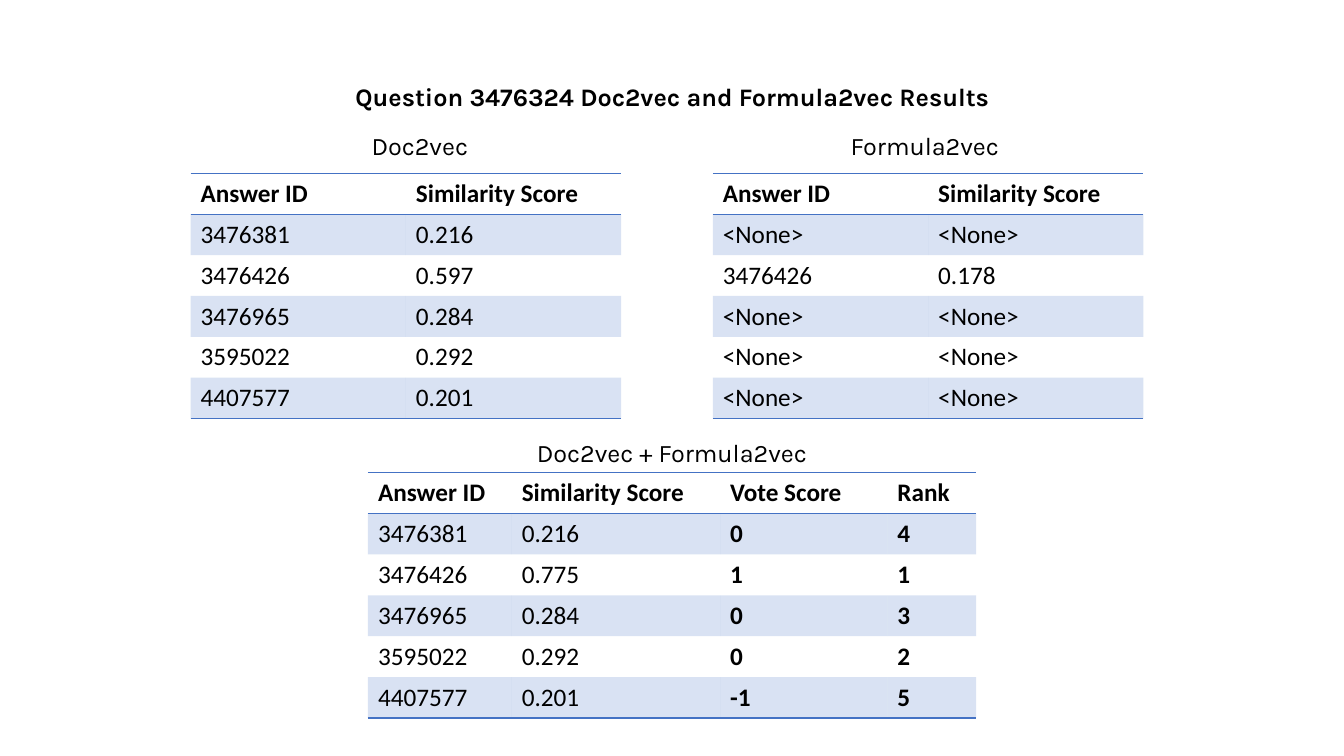
"""Build the slide of Doc2vec and Formula2vec similarity results."""
from dataclasses import dataclass

from lxml import etree
from pptx import Presentation
from pptx.dml.color import RGBColor
from pptx.enum.text import MSO_ANCHOR, MSO_AUTO_SIZE, PP_ALIGN
from pptx.oxml.ns import qn
from pptx.util import Inches, Pt

CENTER, LEFT = PP_ALIGN.CENTER, PP_ALIGN.LEFT
TOP, NO_FIT = MSO_ANCHOR.TOP, MSO_AUTO_SIZE.NONE
TITLE_ONLY = 5
COLORS = {"text": "000000", "accent": "4472C4"}
BAND_ALPHA = 20
NO_STYLE = "{2D5ABB26-0587-4C30-8999-92F81FD0307C}"
W, H = Inches(13.33), Inches(7.5)
COL, ROW = W / 100, H / 100
TEXT_H, TABLE_ROW = 5.33, 5.4
MARGIN, HALF = 12.45, 37.58
FRAME = {"word_wrap": True, "auto_size": NO_FIT, "vertical_anchor": TOP,
         "margin_left": Inches(0.1), "margin_right": Inches(0.1),
         "margin_top": Inches(0.05), "margin_bottom": Inches(0.05)}


@dataclass
class Label:
    text: str
    x: float
    y: float


@dataclass
class Grid:
    x: float
    y: float
    widths: list[float]
    rows: list[list[str]]


IDS = ["3476381", "3476426", "3476965", "3595022", "4407577"]
DOC_SCORES = ["0.216", "0.597", "0.284", "0.292", "0.201"]
SUM_SCORES = ["0.216", "0.775", "0.284", "0.292", "0.201"]
VOTES = ["0", "1", "0", "0", "-1"]
RANKS = ["4", "1", "3", "2", "5"]
HEAD = ["Answer ID", "Similarity Score"]
NONE = ["<None>", "<None>"]

LABELS = [
    Label("Doc2vec", MARGIN, 16.53),
    Label("Formula2vec", MARGIN + HALF, 16.53),
    Label("Doc2vec + Formula2vec", 31.21, 57.2),
]
GRIDS = [
    Grid(14.18, 22.93, [16.02] * 2, [HEAD, *zip(IDS, DOC_SCORES)]),
    Grid(53.04, 22.93, [16.02] * 2,
         [HEAD, NONE, ["3476426", "0.178"], NONE, NONE, NONE]),
    Grid(27.38, 62.53, [10.7, 15.5, 12.45, 6.6],
         [HEAD + ["Vote Score", "Rank"],
          *zip(IDS, SUM_SCORES, VOTES, RANKS)]),
]


def write(tf, text: str, font: str, bold: bool, align) -> None:
    """Put one formatted run in a text frame."""
    p = tf.paragraphs[0]
    p.alignment = align
    r = p.add_run()
    r.text = text
    for name, value in {"name": font, "size": Pt(18), "bold": bold}.items():
        setattr(r.font, name, value)
    r.font.color.rgb = RGBColor.from_string(COLORS["text"])


def place_text(sp, label: Label, width: float, bold: bool = False) -> None:
    """Position a heading shape and fill it with centred text."""
    box = {"left": int(label.x * COL), "top": int(label.y * ROW),
           "width": int(width * COL), "height": int(TEXT_H * ROW)}
    for target, values in ((sp, box), (sp.text_frame, FRAME)):
        for name, value in values.items():
            setattr(target, name, value)
    write(sp.text_frame, label.text, "Karla", bold, CENTER)


def add_rule(tcPr, side: str, index: int) -> None:
    """Draw an accent border on one side of a cell."""
    ln = etree.Element(qn(f"a:{side}"), w=str(Pt(1)))
    fill = etree.SubElement(ln, qn("a:solidFill"))
    etree.SubElement(fill, qn("a:srgbClr"), val=COLORS["accent"])
    tcPr.insert(index, ln)


def style_cell(cell, row: int, last: int) -> None:
    """Give a cell its band fill and its horizontal rules."""
    tcPr = cell._tc.get_or_add_tcPr()
    if row % 2:
        cell.fill.solid()
        cell.fill.fore_color.rgb = RGBColor.from_string(COLORS["accent"])
        clr = tcPr.find(f".//{qn('a:srgbClr')}")
        etree.SubElement(clr, qn("a:alpha"), val=str(BAND_ALPHA * 1000))
    else:
        cell.fill.background()
    sides = {0: ["lnT", "lnB"], last: ["lnB"]}.get(row, [])
    for i, side in enumerate(sides):
        add_rule(tcPr, side, i)


def add_grid(shapes, grid: Grid) -> None:
    """Add one results table."""
    n = len(grid.rows)
    frame = shapes.add_table(
        n, len(grid.widths), int(grid.x * COL), int(grid.y * ROW),
        int(sum(grid.widths) * COL), int(n * TABLE_ROW * ROW))
    table = frame.table
    table._tbl.tblPr.find(qn("a:tableStyleId")).text = NO_STYLE
    for column, width in zip(table.columns, grid.widths):
        column.width = int(width * COL)
    for i, values in enumerate(grid.rows):
        table.rows[i].height = int(TABLE_ROW * ROW)
        for j, value in enumerate(values):
            cell = table.cell(i, j)
            write(cell.text_frame, value, "Calibri", i == 0 or j > 1, LEFT)
            style_cell(cell, i, n - 1)


def main() -> None:
    """Assemble and save the slide."""
    prs = Presentation()
    prs.slide_width, prs.slide_height = W, H
    shapes = prs.slides.add_slide(prs.slide_layouts[TITLE_ONLY]).shapes
    title = Label("Question 3476324 Doc2vec and Formula2vec Results",
                  MARGIN, 10.13)
    place_text(shapes.title, title, 2 * HALF, bold=True)
    for label in LABELS:
        place_text(shapes.add_textbox(0, 0, 0, 0), label, HALF)
    for grid in GRIDS:
        add_grid(shapes, grid)
    prs.save("out.pptx")


if __name__ == "__main__":
    main()
